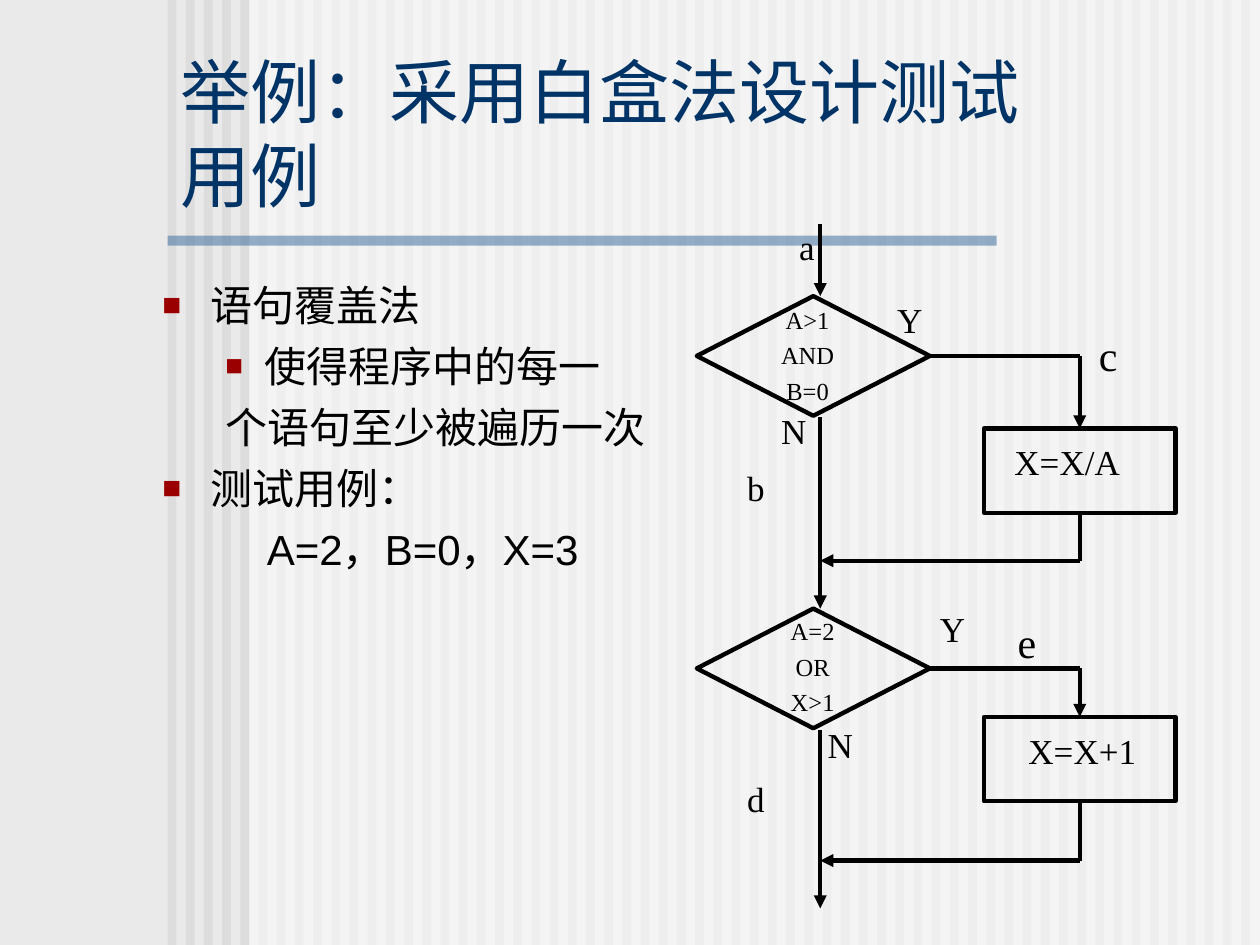
from lxml.etree import SubElement
from pptx import Presentation
from pptx.dml.color import RGBColor
from pptx.enum.shapes import MSO_CONNECTOR, MSO_SHAPE
from pptx.enum.text import MSO_ANCHOR, MSO_AUTO_SIZE, PP_ALIGN
from pptx.oxml.ns import qn
from pptx.util import Inches, Pt

COLORS = {
    "back": "EAEAEA", "stripe": "DDDDDD", "veil": "FFFFFF", "rule": "336699",
    "title": "003366", "bullet": "9A0000", "ink": "000000",
}
SANS, SERIF = "Arial", "Times New Roman"


def color(name):
    return RGBColor.from_string(COLORS[name])


def write(para, text, size=20, font=SERIF, ink="ink", align=PP_ALIGN.LEFT, before=0):
    para.alignment = align
    para.space_before = Pt(before)
    span = para.add_run()
    span.text = text
    span.font.size = Pt(size)
    span.font.name = font
    span.font.color.rgb = color(ink)


class FlowPage:
    """Draws on one slide with a grid of 100 columns by 75 rows."""

    def __init__(self, deck):
        self.column = deck.slide_width / 100
        self.row = deck.slide_height / 75
        self.page = deck.slides.add_slide(deck.slide_layouts[5])
        self.page.background.fill.solid()
        self.page.background.fill.fore_color.rgb = color("back")

    def place(self, left, top, width, height):
        return (round(left * self.column), round(top * self.row),
                round(width * self.column), round(height * self.row))

    def band(self, left, top, width, height, fill, opacity=100):
        shape = self.page.shapes.add_shape(
            MSO_SHAPE.RECTANGLE, *self.place(left, top, width, height))
        shape.shadow.inherit = False
        shape.line.fill.background()
        shape.fill.solid()
        shape.fill.fore_color.rgb = color(fill)
        if opacity < 100:
            tint = shape.fill._xPr.find(".//" + qn("a:srgbClr"))
            SubElement(tint, qn("a:alpha"), val=str(opacity * 1000))

    def outline(self, kind, left, top, width, height):
        shape = self.page.shapes.add_shape(kind, *self.place(left, top, width, height))
        shape.shadow.inherit = False
        shape.fill.background()
        shape.line.color.rgb = color("ink")
        shape.line.width = Pt(2.5)

    def line(self, start, end, arrow=False):
        connector = self.page.shapes.add_connector(
            MSO_CONNECTOR.STRAIGHT, *self.place(*start, *end))
        connector.line.color.rgb = color("ink")
        connector.line.width = Pt(2.5)
        if arrow:
            SubElement(connector.line._get_or_add_ln(), qn("a:tailEnd"), type="triangle")
        SubElement(connector._element.spPr, qn("a:effectLst"))

    def title(self, text, *place):
        box = self.page.shapes.title
        box.element.getparent().append(box.element)
        box.left, box.top, box.width, box.height = self.place(*place)
        frame = box.text_frame
        frame.auto_size = MSO_AUTO_SIZE.NONE
        frame.word_wrap = True
        frame.vertical_anchor = MSO_ANCHOR.BOTTOM
        write(frame.paragraphs[0], text, size=40, font=SANS, ink="title")

    def text_box(self, *place):
        frame = self.page.shapes.add_textbox(*self.place(*place)).text_frame
        frame.word_wrap = True
        return frame

    def body(self, items, *place):
        frame = self.text_box(*place)
        for index, (text, margin, indent, bullet) in enumerate(items):
            para = frame.add_paragraph() if index else frame.paragraphs[0]
            props = para._p.get_or_add_pPr()
            props.set("marL", str(Inches(margin)))
            props.set("indent", str(Inches(indent)))
            if bullet:
                tint = SubElement(props, qn("a:buClr"))
                SubElement(tint, qn("a:srgbClr"), val=COLORS["bullet"])
                SubElement(props, qn("a:buSzPct"), val=str(bullet * 1000))
                SubElement(props, qn("a:buFont"), typeface=SANS)
                SubElement(props, qn("a:buChar"), char="■")
            write(para, text, size=24, font=SANS, before=6 if index else 0)

    def label(self, lines, center, top, width=10, height=4.4, size=20):
        frame = self.text_box(center - width / 2, top, width, height)
        for index, text in enumerate(lines):
            para = frame.add_paragraph() if index else frame.paragraphs[0]
            write(para, text, size=size, align=PP_ALIGN.CENTER,
                  before=size / 4 if index else 0)

    def branch(self, top, action_top, merge):
        left, width, height = 55.3, 18.5, 9.5
        action_left, action_width, action_height = 78.1, 15.2, 6.7
        stem, side, middle = 65.1, 85.7, top + height / 2
        self.outline(MSO_SHAPE.DIAMOND, left, top, width, height)
        self.outline(MSO_SHAPE.RECTANGLE, action_left, action_top,
                     action_width, action_height)
        self.line((left + width, middle), (side, middle))
        self.line((side, middle), (side, action_top), arrow=True)
        self.line((side, action_top + action_height), (side, merge))
        self.line((side, merge), (stem, merge), arrow=True)

    def stem(self, top, bottom):
        self.line((65.1, top), (65.1, bottom), arrow=True)

    def line_ends(self, stops):
        for top, bottom in stops:
            self.stem(top, bottom)


def main():
    deck = Presentation()
    deck.slide_width, deck.slide_height = Inches(10), Inches(7.5)
    flow = FlowPage(deck)
    for index in range(60):
        flow.band(13.3 + index * 1.444, 0, 0.7, 75, "stripe")
    flow.band(19.8, 0, 80.2, 75, "veil", opacity=50)
    flow.band(13.3, 18.7, 65.8, 0.8, "rule", opacity=50)
    flow.title("举例：采用白盒法设计测试用例", 13.3, 10.8, 73.3, 6.9)
    flow.body([
        ("语句覆盖法", 0.38, -0.38, 75),
        ("使得程序中的每一", 0.81, -0.31, 70),
        ("个语句至少被遍历一次", 0.81, -0.31, None),
        ("测试用例：", 0.38, -0.38, 75),
        ("A=2，B=0，X=3", 0.83, 0, None),
    ], 11.9, 21.7, 42, 26)

    flow.branch(top=23.5, action_top=34, merge=44.5)
    flow.branch(top=48.3, action_top=56.9, merge=68.3)
    flow.line_ends([(17.8, 23.5), (33.1, 48.3), (57.9, 72.1)])

    flow.label(["A>1", "AND", "B=0"], 64.1, 23.7, height=9, size=14)
    flow.label(["A=2", "OR", "X>1"], 64.5, 48.4, height=9, size=14)
    for text, center, top in [
        ("a", 64.05, 17.4), ("Y", 72.2, 23.2), ("N", 63, 32), ("b", 60, 36.5),
        ("Y", 75.6, 47.7), ("N", 66.7, 56.9), ("d", 60, 61.2),
    ]:
        flow.label([text], center, top)
    for text, center, top in [("c", 87.95, 25.7), ("e", 81.5, 48.4)]:
        flow.label([text], center, top, height=5, size=24)
    for text, center, top in [("X=X/A", 84.7, 34.5), ("X=X+1", 85.9, 57.4)]:
        flow.label([text], center, top, width=15)
    deck.save("out.pptx")


if __name__ == "__main__":
    main()
